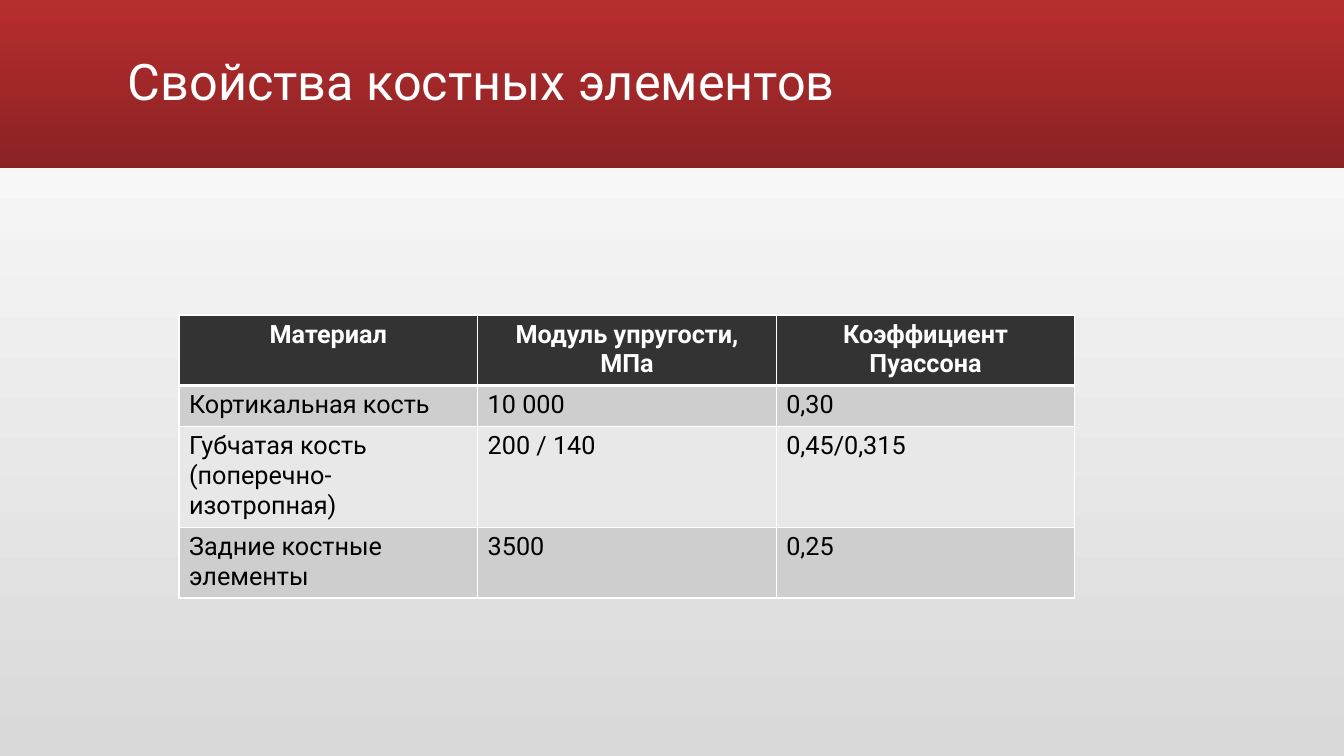
from lxml.etree import SubElement
from pptx import Presentation
from pptx.dml.color import RGBColor as RGB
from pptx.enum.shapes import MSO_SHAPE as Shape
from pptx.enum.text import MSO_ANCHOR as Anchor, PP_ALIGN as Align
from pptx.oxml.ns import qn
from pptx.util import Pt

COLORS = {
    "white": "FFFFFF", "black": "000000", "backdrop": "D9D9D9",
    "band_top": "B82D2F", "band_bottom": "8A2223",
    "header": "333333", "odd": "CECECE", "even": "E8E8E8",
}
EMU_PER_PX = 914400 / 100.8
SLIDE_W, SLIDE_H = 1344, 756


def px(length):
    return round(length * EMU_PER_PX)


def rgb(name):
    return RGB.from_string(COLORS[name])


class SlideBuilder:
    font = "Roboto"

    def __init__(self, slide):
        self.slide = slide

    def gradient(self, fill, colors, angle):
        fill.gradient()
        fill.gradient_angle = angle
        for stop, color in zip(fill.gradient_stops, colors):
            stop.color.rgb = rgb(color)

    def background(self, colors, angle):
        self.gradient(self.slide.background.fill, colors, angle)

    def band(self, left, top, width, height, colors, angle):
        band = self.slide.shapes.add_shape(
            Shape.RECTANGLE, px(left), px(top), px(width), px(height))
        band.shadow.inherit = False
        band.line.fill.background()
        self.gradient(band.fill, colors, angle)

    def add_text(self, paragraph, text, size, color, bold=False):
        run = paragraph.add_run()
        run.text = text
        run.font.name = self.font
        run.font.size = Pt(size)
        run.font.bold = bold
        run.font.color.rgb = rgb(color)

    def title(self, left, top, width, height, text):
        title = self.slide.shapes.add_textbox(px(left), px(top), px(width), px(height))
        frame = title.text_frame
        frame.word_wrap = True
        frame.vertical_anchor = Anchor.MIDDLE
        frame.paragraphs[0].line_spacing = 0.9
        self.add_text(frame.paragraphs[0], text, 36, "white")

    def borders(self, cell, top, bottom):
        properties = cell._tc.get_or_add_tcPr()
        for side, width in (("L", 1), ("R", 1), ("T", top), ("B", bottom)):
            line = SubElement(properties, qn(f"a:ln{side}"), w=str(Pt(width)))
            fill = SubElement(line, qn("a:solidFill"))
            SubElement(fill, qn("a:srgbClr"), val=COLORS["white"])

    def table(self, left, top, width, height, row_height, rows):
        frame = self.slide.shapes.add_table(
            len(rows), len(rows[0]), px(left), px(top), px(width), px(height))
        for row in frame.table.rows:
            row.height = px(row_height)
        frame.height = px(height)
        for r, texts in enumerate(rows):
            is_header = r == 0
            fill = "header" if is_header else "odd" if r % 2 else "even"
            for c, text in enumerate(texts):
                cell = frame.table.cell(r, c)
                # A thick rule parts the header from the body
                self.borders(cell, 3 if r == 1 else 1, 3 if is_header else 1)
                cell.fill.solid()
                cell.fill.fore_color.rgb = rgb(fill)
                paragraph = cell.text_frame.paragraphs[0]
                paragraph.alignment = Align.CENTER if is_header else Align.LEFT
                self.add_text(paragraph, text, 18, "white" if is_header else "black", is_header)


def main():
    deck = Presentation()
    deck.slide_width, deck.slide_height = px(SLIDE_W), px(SLIDE_H)
    builder = SlideBuilder(deck.slides.add_slide(deck.slide_layouts[6]))

    # Background and title band
    builder.background(("backdrop", "white"), 90)
    builder.band(0, 0, SLIDE_W, 168, ("band_top", "band_bottom"), 270)
    builder.title(118, 11, 1109, 146, "Свойства костных элементов")

    # Material properties
    builder.table(179, 315, 896, 223, 41, [
        ("Материал", "Модуль упругости, МПа", "Коэффициент Пуассона"),
        ("Кортикальная кость", "10 000", "0,30"),
        ("Губчатая кость (поперечно-изотропная)", "200 / 140", "0,45/0,315"),
        ("Задние костные элементы", "3500", "0,25"),
    ])

    deck.save("out.pptx")


if __name__ == "__main__":
    main()
